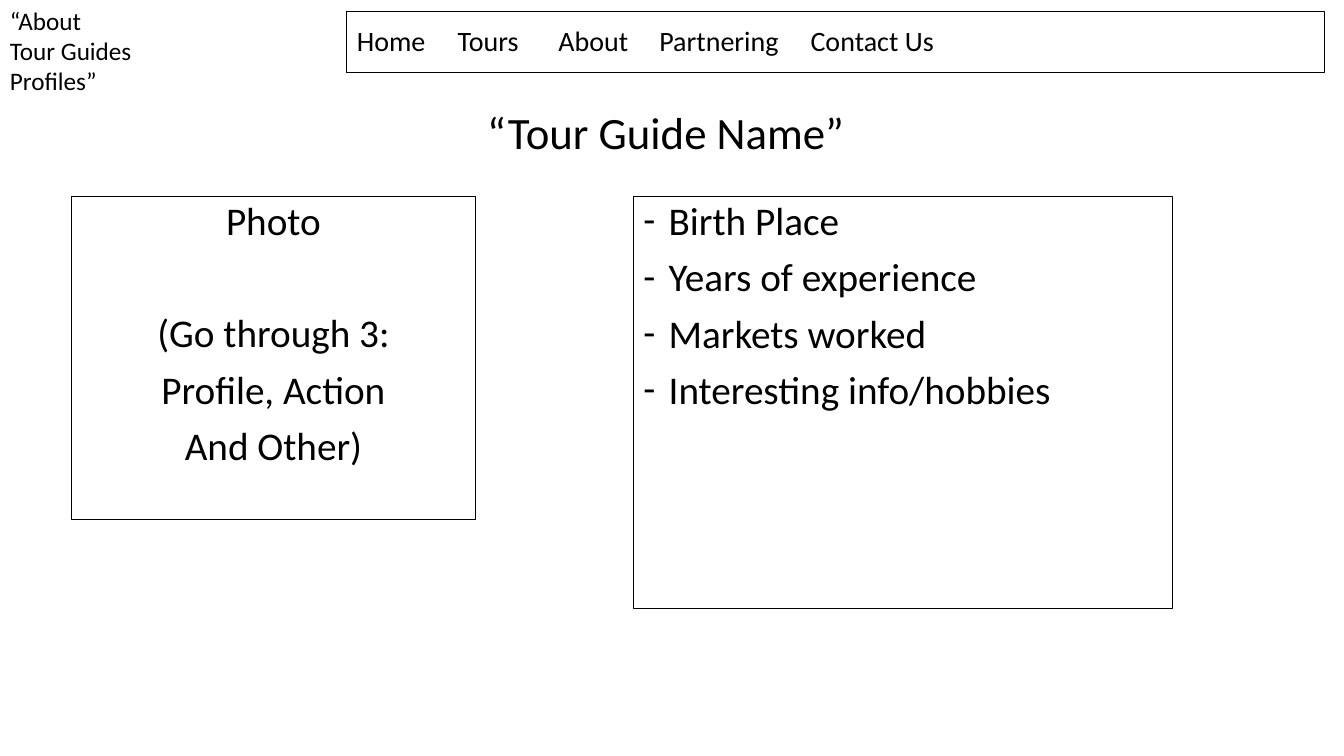
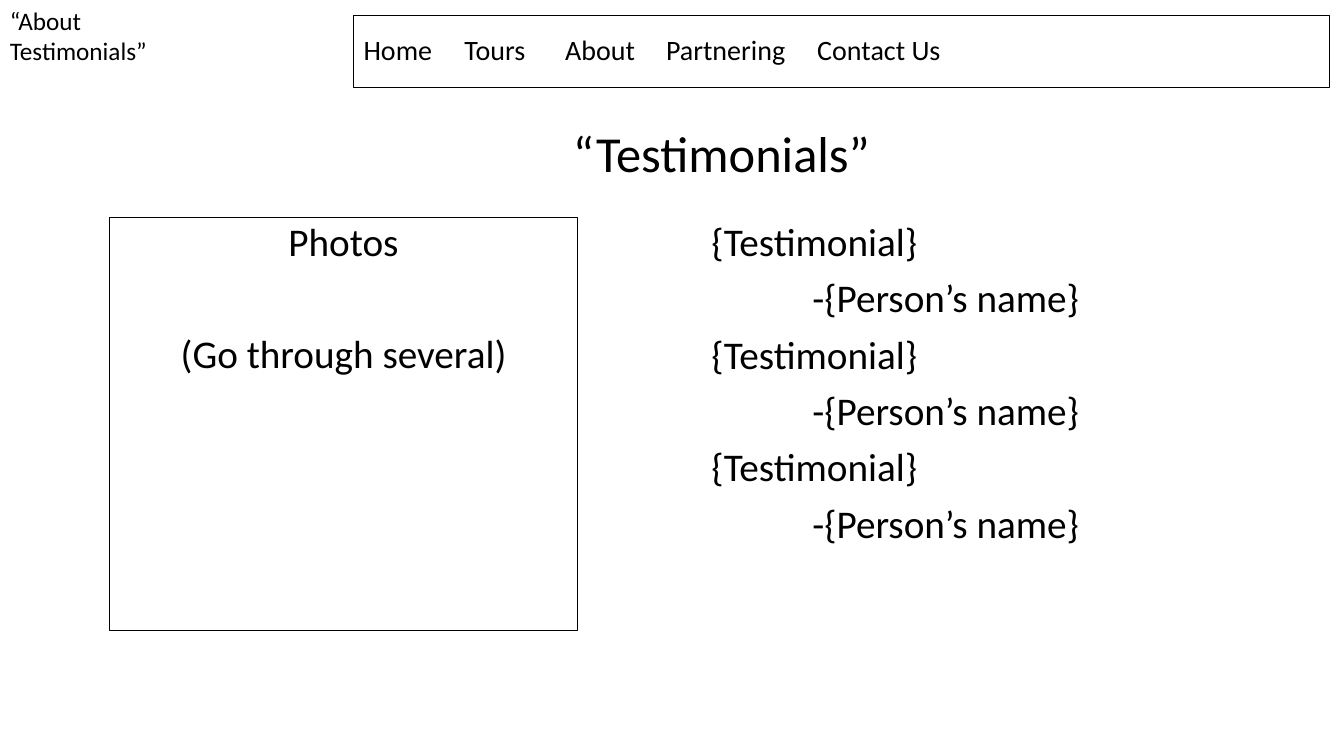
import pptx
import pptx.util
import pptx.dml.color
import pptx.enum.shapes
import pptx.enum.text
import pptx.oxml.ns
import lxml.etree

SLIDE_WIDTH, SLIDE_HEIGHT = pptx.util.Inches(13.33), pptx.util.Inches(7.5)
COLUMNS, ROWS = 160, 90
FONT = "Calibri"
INK = "000000"
MENU = ["Home", "Tours", "About", "Partnering", "Contact Us"]
MENU_STOPS = [2, 4, 5.75, 8]

ALIGN = pptx.enum.text.PP_ALIGN
ANCHOR = pptx.enum.text.MSO_ANCHOR
LABEL = {"size": 18}
NAVIGATION = {"size": 20, "line_spacing": 0.9}
CONTENT = {"size": 28, "line_spacing": 0.9, "space_before": pptx.util.Pt(10)}
CENTRED = {**CONTENT, "alignment": ALIGN.CENTER}
AFTER_GAP = {**CENTRED, "space_before": pptx.util.Pt(50)}
DASHED = {**CONTENT, "bullet": "-", "margin": 0.25, "hanging": 0.25}
INDENTED = {**CONTENT, "margin": 1}


def colour(value):
    return pptx.dml.color.RGBColor.from_string(value)


def grid(column, row, columns, rows):
    """Turn grid cells into left, top, width and height."""
    cell_width, cell_height = SLIDE_WIDTH / COLUMNS, SLIDE_HEIGHT / ROWS
    return [round(length) for length in (column * cell_width, row * cell_height,
                                         columns * cell_width, rows * cell_height)]


def place(shape, area):
    for name, value in zip(("left", "top", "width", "height"), grid(*area)):
        setattr(shape, name, value)


def add_element(parent, tag, **attributes):
    return lxml.etree.SubElement(parent, pptx.oxml.ns.qn(tag), attributes)


def format_paragraph(para, style):
    layout = {"alignment": ALIGN.LEFT, "line_spacing": 1.0, "space_before": pptx.util.Pt(0)}
    for name, value in layout.items():
        setattr(para, name, style.get(name, value))
    properties = para._p.get_or_add_pPr()
    properties.set("marL", str(pptx.util.Inches(style.get("margin", 0))))
    properties.set("indent", str(-pptx.util.Inches(style.get("hanging", 0))))
    if "bullet" in style:
        add_element(properties, "a:buFont", typeface=FONT)
        add_element(properties, "a:buChar", char=style["bullet"])
    else:
        add_element(properties, "a:buNone")


def write(shape, lines, anchor=ANCHOR.TOP):
    """Fill a shape with (text, style) lines, one paragraph each."""
    frame = shape.text_frame
    settings = {"word_wrap": True, "vertical_anchor": anchor,
                "auto_size": pptx.enum.text.MSO_AUTO_SIZE.NONE}
    for name, value in settings.items():
        setattr(frame, name, value)
    for index, (text, style) in enumerate(lines):
        para = frame.add_paragraph() if index else frame.paragraphs[0]
        format_paragraph(para, style)
        span = para.add_run()
        span.text = text
        span.font.name = FONT
        span.font.size = pptx.util.Pt(style["size"])
        span.font.color.rgb = colour(INK)


def outline(shape):
    shape.line.color.rgb = colour(INK)
    shape.line.width = pptx.util.Pt(0.75)


def add_box(page, area, lines, anchor=ANCHOR.TOP):
    box = page.shapes.add_shape(pptx.enum.shapes.MSO_SHAPE.RECTANGLE, *grid(*area))
    box.shadow.inherit = False
    box.fill.background()
    outline(box)
    write(box, lines, anchor)
    return box


def add_menu(page, area):
    box = add_box(page, area, [("\t".join(MENU), NAVIGATION)], ANCHOR.MIDDLE)
    properties = box.text_frame.paragraphs[0]._p.get_or_add_pPr()
    stops = add_element(properties, "a:tabLst")
    for stop in MENU_STOPS:
        add_element(stops, "a:tab", pos=str(pptx.util.Inches(stop)), algn="l")


def add_label(page, texts):
    box = page.shapes.add_textbox(*grid(0, 0, 22, 15.7))
    write(box, [(text, LABEL) for text in texts])


def add_page(deck, label, menu_area, heading, heading_size, heading_area):
    """Add a page with its corner label, menu bar and heading."""
    page = deck.slides.add_slide(deck.slide_layouts[1])
    place(page.shapes.title, heading_area)
    write(page.shapes.title, [(heading, {"size": heading_size})])
    add_label(page, label)
    add_menu(page, menu_area)
    return page


def fill_body(page, area, lines):
    body = page.placeholders[1]
    place(body, area)
    write(body, lines)
    return body


def add_guide_page(deck):
    page = add_page(deck, ["“About", "Tour Guides", "Profiles”"], (41.3, 1.4, 116.4, 7.2),
                    "“Tour Guide Name”", 32, (56.8, 11.9, 60, 7.7))
    add_box(page, (8.5, 23.4, 48.1, 38.4), [
        ("Photo", CENTRED), ("(Go through 3:", AFTER_GAP),
        ("Profile, Action", CENTRED), ("And Other)", CENTRED)])
    facts = ["Birth Place", "Years of experience", "Markets worked", "Interesting info/hobbies"]
    outline(fill_body(page, (75.4, 23.4, 64.2, 49.1), [(fact, DASHED) for fact in facts]))


def add_testimonials_page(deck):
    page = add_page(deck, ["“About", "Testimonials”"], (42.1, 1.8, 116.2, 8.6),
                    "“Testimonials”", 36, (67, 13.9, 60, 8.5))
    add_box(page, (13, 25.9, 55.8, 49.2),
            [("Photos", CENTRED), ("(Go through several)", AFTER_GAP)])
    quote = [("{Testimonial}", CONTENT), ("-{Person’s name}", INDENTED)]
    fill_body(page, (83.5, 25.9, 55.8, 49.2), quote * 3)


def main():
    deck = pptx.Presentation()
    deck.slide_width, deck.slide_height = SLIDE_WIDTH, SLIDE_HEIGHT
    add_guide_page(deck)
    add_testimonials_page(deck)
    deck.save("out.pptx")


if __name__ == "__main__":
    main()
